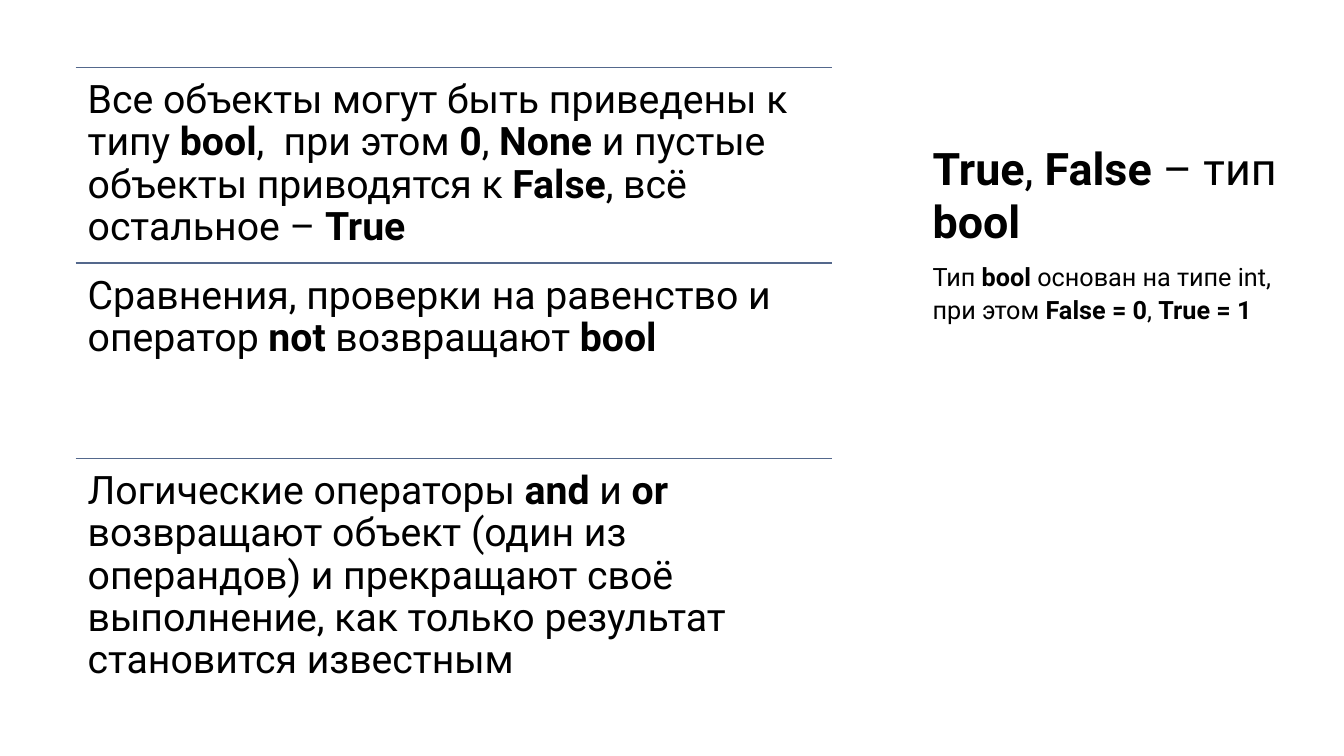
"""Build a slide about the bool type, with three ruled statements and a side title."""
from dataclasses import dataclass

from lxml.etree import SubElement
from pptx import Presentation
from pptx.dml.color import RGBColor
from pptx.enum.shapes import MSO_CONNECTOR
from pptx.enum.text import MSO_ANCHOR, MSO_AUTO_SIZE, PP_ALIGN
from pptx.oxml.ns import qn
from pptx.util import Inches, Pt

TITLE = "**True**, **False** – тип **bool**"
NOTE = "Тип **bool **основан на типе int, при этом **False = 0**, **True = 1**"
STATEMENTS = [
    "Все объекты могут быть приведены к типу **bool**,  при этом **0**, **None **"
    "и пустые объекты приводятся к **False**, всё остальное – **True**",
    "Сравнения, проверки на равенство и оператор **not** возвращают **bool**",
    "Логические операторы **and **и **or **возвращают объект (один из операндов) "
    "и прекращают своё выполнение, как только результат становится известным",
]


@dataclass(frozen=True)
class Theme:
    font: str = "Roboto"
    text: RGBColor = RGBColor(0, 0, 0)
    rule: RGBColor = RGBColor(0x54, 0x68, 0x8C)
    title: int = 32
    statement: int = 28
    note: int = 18


THEME = Theme()
LIST_LEFT, LIST_TOP, LIST_WIDTH, ROW_HEIGHT = 0.75, 0.67, 7.5, 1.94
SIDE_LEFT, SIDE_WIDTH = 9.25, 3.46


def write(sp, text, size, inset=0, anchor=MSO_ANCHOR.TOP, spacing=1.0):
    """Fill a text shape, setting the parts between double asterisks in bold."""
    tf = sp.text_frame
    tf.word_wrap = True
    tf.auto_size = MSO_AUTO_SIZE.NONE
    tf.vertical_anchor = anchor
    tf.margin_left = tf.margin_right = tf.margin_top = tf.margin_bottom = Inches(inset)
    p = tf.paragraphs[0]
    p.alignment = PP_ALIGN.LEFT
    p.line_spacing = spacing
    for i, part in enumerate(text.split("**")):
        if part:
            r = p.add_run()
            r.text = part
            r.font.name = THEME.font
            r.font.size = Pt(size)
            r.font.bold = i % 2 == 1
            r.font.color.rgb = THEME.text
    return p


def add_rule(s, top):
    """Draw a thin line across the list."""
    y = Inches(top)
    line = s.shapes.add_connector(
        MSO_CONNECTOR.STRAIGHT, Inches(LIST_LEFT), y, Inches(LIST_LEFT + LIST_WIDTH), y)
    line.line.color.rgb = THEME.rule
    line.line.width = Pt(1)
    SubElement(line._element.spPr, qn("a:effectLst"))


def add_box(s, left, top, width, height):
    """Add an empty text box."""
    return s.shapes.add_textbox(Inches(left), Inches(top), Inches(width), Inches(height))


prs = Presentation()
prs.slide_width, prs.slide_height = Inches(13.33), Inches(7.5)
s = prs.slides.add_slide(prs.slide_layouts[5])

title = s.shapes.title
title.left, title.top = Inches(SIDE_LEFT), Inches(0.66)
title.width, title.height = Inches(SIDE_WIDTH), Inches(1.8)
write(title, TITLE, THEME.title, anchor=MSO_ANCHOR.BOTTOM)

for row, statement in enumerate(STATEMENTS):
    top = LIST_TOP + row * ROW_HEIGHT
    add_rule(s, top)
    sp = add_box(s, LIST_LEFT, top, LIST_WIDTH, ROW_HEIGHT)
    write(sp, statement, THEME.statement, inset=0.12, spacing=0.9)

note = add_box(s, SIDE_LEFT, 2.56, SIDE_WIDTH, 3.94)
write(note, NOTE, THEME.note, spacing=1.1).space_before = Pt(8)

prs.save("out.pptx")
